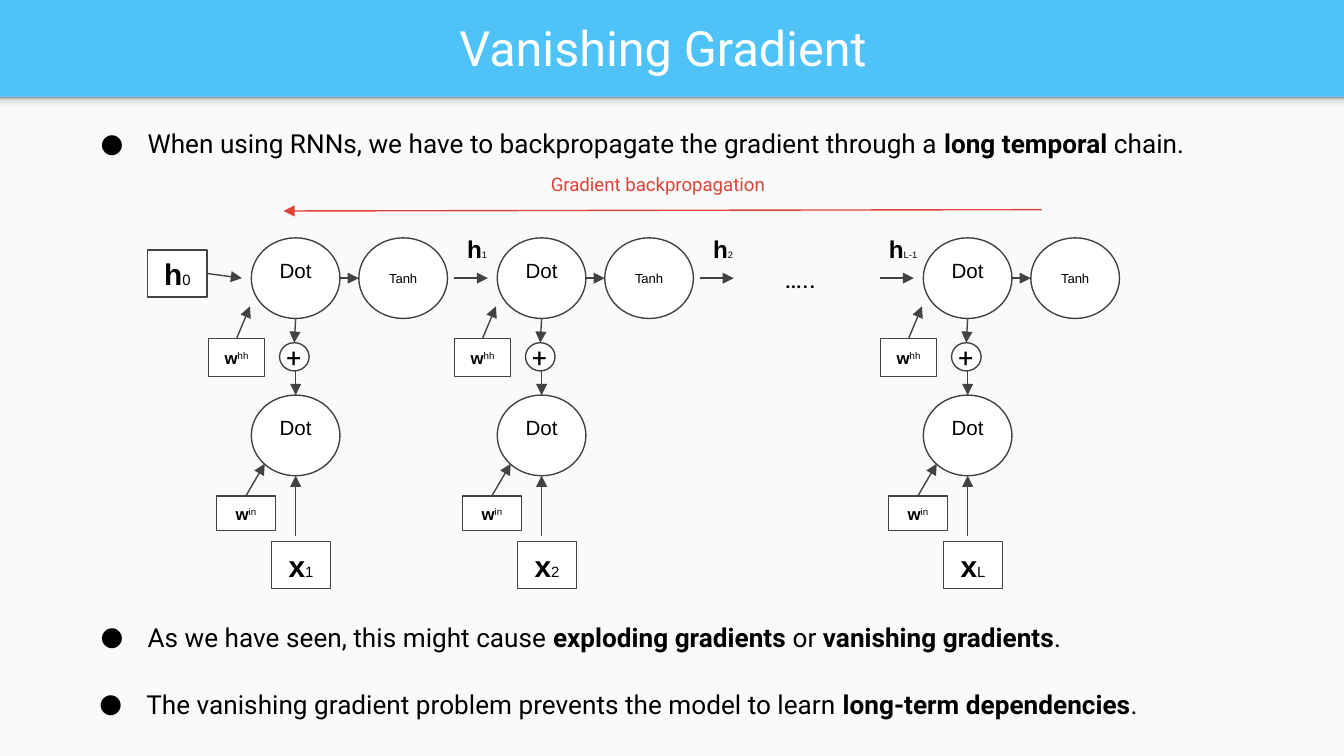
from lxml.etree import SubElement
from pptx import Presentation
from pptx.dml.color import RGBColor
from pptx.enum.shapes import MSO_CONNECTOR, MSO_SHAPE
from pptx.enum.text import MSO_ANCHOR, PP_ALIGN
from pptx.oxml.ns import qn
from pptx.util import Inches, Pt

BLACK, WHITE, INK, RED = "000000", "FFFFFF", "424242", "DB4437"
SKY, PAPER = "4FC3F7", "FAFAFA"
EDGE_STOPS = [(0, "F9F9F9"), (36, "F9F9F9"), (80, "DEDEDE"), (100, "999999")]
STEP = 1.83
FIRST_STEP, LAST_STEP = 1.55, 6.55
TOP, RIGHT = 0, 3


def color(value):
    return RGBColor.from_string(value)


def apply(target, values):
    for name, value in values.items():
        setattr(target, name, value)


def run_of(text, size, font="Arial", hue=BLACK, bold=False, raised=False):
    return text, {"size": Pt(size), "name": font, "bold": bold}, hue, raised


def write(shape, runs, align=PP_ALIGN.CENTER, anchor=MSO_ANCHOR.MIDDLE,
          wrap=False, insets=(0.1, 0.1, 0.1, 0.1)):
    frame = shape.text_frame
    apply(frame, {"word_wrap": wrap, "vertical_anchor": anchor})
    sides = ("margin_left", "margin_top", "margin_right", "margin_bottom")
    apply(frame, {side: Inches(inset) for side, inset in zip(sides, insets)})
    paragraph = frame.paragraphs[0]
    paragraph.alignment = align
    for text, values, hue, raised in runs:
        run = paragraph.add_run()
        run.text = text
        apply(run.font, values)
        run.font.color.rgb = color(hue)
        if raised:
            run.font._element.set("baseline", "30000")
    return paragraph


def label(slide, box, runs, **layout):
    caption = slide.shapes.add_textbox(*map(Inches, box))
    return write(caption, runs, **layout)


def block(slide, kind, box, fill, line=None):
    shape = slide.shapes.add_shape(kind, *map(Inches, box))
    shape.shadow.inherit = False
    shape.fill.solid()
    shape.fill.fore_color.rgb = color(fill)
    if line:
        shape.line.color.rgb = color(line)
        shape.line.width = Pt(0.75)
    else:
        shape.line.fill.background()
    return shape


def node(slide, kind, box, runs, **layout):
    shape = block(slide, kind, box, WHITE, INK)
    write(shape, runs, **layout)
    return shape


def arrow(slide, start, end, hue=INK, source=None, target=None):
    link = slide.shapes.add_connector(
        MSO_CONNECTOR.STRAIGHT, *map(Inches, (*start, *end)))
    link.line.color.rgb = color(hue)
    link.line.width = Pt(0.75)
    SubElement(link.line._get_or_add_ln(), qn("a:tailEnd"), type="triangle")
    SubElement(link._element.spPr, qn("a:effectLst"))
    if source:
        link.begin_connect(*source)
    if target:
        link.end_connect(*target)


def header(slide, left, top, width, height):
    slide.background.fill.solid()
    slide.background.fill.fore_color.rgb = color(SKY)
    block(slide, MSO_SHAPE.RECTANGLE, (left, top + height, width, 4.91), PAPER)
    edge = block(slide, MSO_SHAPE.RECTANGLE, (left, top + height, width, 0.12), PAPER)
    edge.fill.gradient()
    edge.fill.gradient_angle = 90
    stops = edge._element.spPr.find(".//" + qn("a:gsLst"))
    for stop in list(stops):
        stops.remove(stop)
    for percent, hue in EDGE_STOPS:
        stop = SubElement(stops, qn("a:gs"), pos=str(percent * 1000))
        SubElement(stop, qn("a:srgbClr"), val=hue)
    label(slide, (left + 0.11, top + 0.02, 9.65, 0.66),
          [run_of("Vanishing Gradient", 26, "Roboto", WHITE)], wrap=True)


def bullet(slide, box, parts):
    runs = [run_of(text, 14, "Roboto", bold=index % 2 == 1)
            for index, text in enumerate(parts)]
    paragraph = label(slide, box, runs, align=PP_ALIGN.LEFT,
                      anchor=MSO_ANCHOR.TOP, wrap=True)
    properties = paragraph._p.get_or_add_pPr()
    properties.set("marL", str(Inches(0.5)))
    properties.set("indent", str(Inches(-0.35)))
    hue = SubElement(properties, qn("a:buClr"))
    SubElement(hue, qn("a:srgbClr"), val=BLACK)
    SubElement(properties, qn("a:buSzPts"), val="1400")
    SubElement(properties, qn("a:buFont"), typeface="Roboto")
    SubElement(properties, qn("a:buChar"), char="●")


def dot_product(slide, left, top):
    return node(slide, MSO_SHAPE.OVAL, (left, top, 0.66, 0.6),
                [run_of("Dot", 11)], insets=(0, 0, 0, 0.12))


def variable(slide, left, top, name, index):
    return node(slide, MSO_SHAPE.RECTANGLE, (left, top, 0.44, 0.35),
                [run_of(name, 16, bold=True), run_of(index, 8)])


def weight(slide, box, index, tip):
    left, top, width, _ = box
    matrix = node(slide, MSO_SHAPE.RECTANGLE, box,
                  [run_of("w", 9, bold=True), run_of(index, 9, raised=True)])
    arrow(slide, (left + width / 2, top), tip, source=(matrix, TOP))


def time_step(slide, left, top, index):
    middle = left + 0.65
    dot_product(slide, left + 0.32, top)
    node(slide, MSO_SHAPE.OVAL, (left + 1.12, top, 0.66, 0.6), [run_of("Tanh", 7)])
    total = block(slide, MSO_SHAPE.OVAL, (left + 0.53, top + 0.78, 0.22, 0.21),
                  WHITE, INK)
    label(slide, (left + 0.5, top + 0.67, 0.28, 0.44),
          [run_of("+", 14, "Roboto")], align=PP_ALIGN.LEFT,
          anchor=MSO_ANCHOR.TOP, wrap=True, insets=(0.08, 0.1, 0, 0.1))
    entry = dot_product(slide, left + 0.32, top + 1.17)
    arrow(slide, (left + 0.98, top + 0.3), (left + 1.12, top + 0.3))
    arrow(slide, (middle, top + 0.6), (middle, top + 0.78), target=(total, TOP))
    arrow(slide, (middle, top + 0.99), (middle, top + 1.17), target=(entry, TOP))
    weight(slide, (left, top + 0.75, 0.42, 0.28), "hh", (left + 0.31, top + 0.51))
    weight(slide, (left + 0.06, top + 1.92, 0.44, 0.26), "in",
           (left + 0.42, top + 1.68))
    variable(slide, left + 0.47, top + 2.26, "x", index)
    arrow(slide, (middle, top + 2.22), (middle, top + 1.77))


def hidden_state(slide, left, top, index):
    label(slide, (left - 0.05, top - 0.13, 0.44, 0.42),
          [run_of("h", 13, bold=True), run_of(index, 5)], anchor=MSO_ANCHOR.TOP)
    arrow(slide, (left, top + 0.3), (left + 0.25, top + 0.3))


def network(slide, left, top):
    initial = variable(slide, left - 0.45, top + 0.09, "h", "0")
    arrow(slide, (left, top + 0.3), (left + 0.25, top + 0.3),
          source=(initial, RIGHT))
    for step_left, index in ((left, "1"), (left + STEP, "2"), (LAST_STEP, "L")):
        time_step(slide, step_left, top, index)
    for state_left, index in ((left + STEP, "1"), (left + 2 * STEP, "2"),
                              (LAST_STEP, "L-1")):
        hidden_state(slide, state_left, top, index)
    label(slide, (5.74, top + 0.08, 0.75, 0.44), [run_of("…..", 14, "Roboto")],
          align=PP_ALIGN.LEFT, anchor=MSO_ANCHOR.TOP, wrap=True)


def backpropagation(slide, left, top, width):
    arrow(slide, (left + width, top + 0.36), (left, top + 0.37), RED)
    label(slide, (left + 1.89, top, 1.86, 0.37),
          [run_of("Gradient backpropagation", 10, "Roboto", RED)],
          align=PP_ALIGN.LEFT, anchor=MSO_ANCHOR.TOP, wrap=True)


def main():
    deck = Presentation()
    apply(deck, {"slide_width": Inches(10), "slide_height": Inches(45 / 8)})
    slide = deck.slides.add_slide(deck.slide_layouts[6])
    header(slide, 0, 0, 10, 0.72)
    network(slide, FIRST_STEP, 1.77)
    backpropagation(slide, 2.11, 1.2, 5.64)
    bullet(slide, (0.5, 0.85, 8.76, 0.44),
           ["When using RNNs, we have to backpropagate the gradient through a ",
            "long temporal", " chain."])
    bullet(slide, (0.5, 4.52, 9.21, 0.44),
           ["As we have seen, this might cause ", "exploding gradients", " or ",
            "vanishing gradients", "."])
    bullet(slide, (0.49, 5.02, 8.89, 0.44),
           ["The vanishing gradient problem prevents the model to learn ",
            "long-term dependencies", "."])
    deck.save("out.pptx")


if __name__ == "__main__":
    main()
